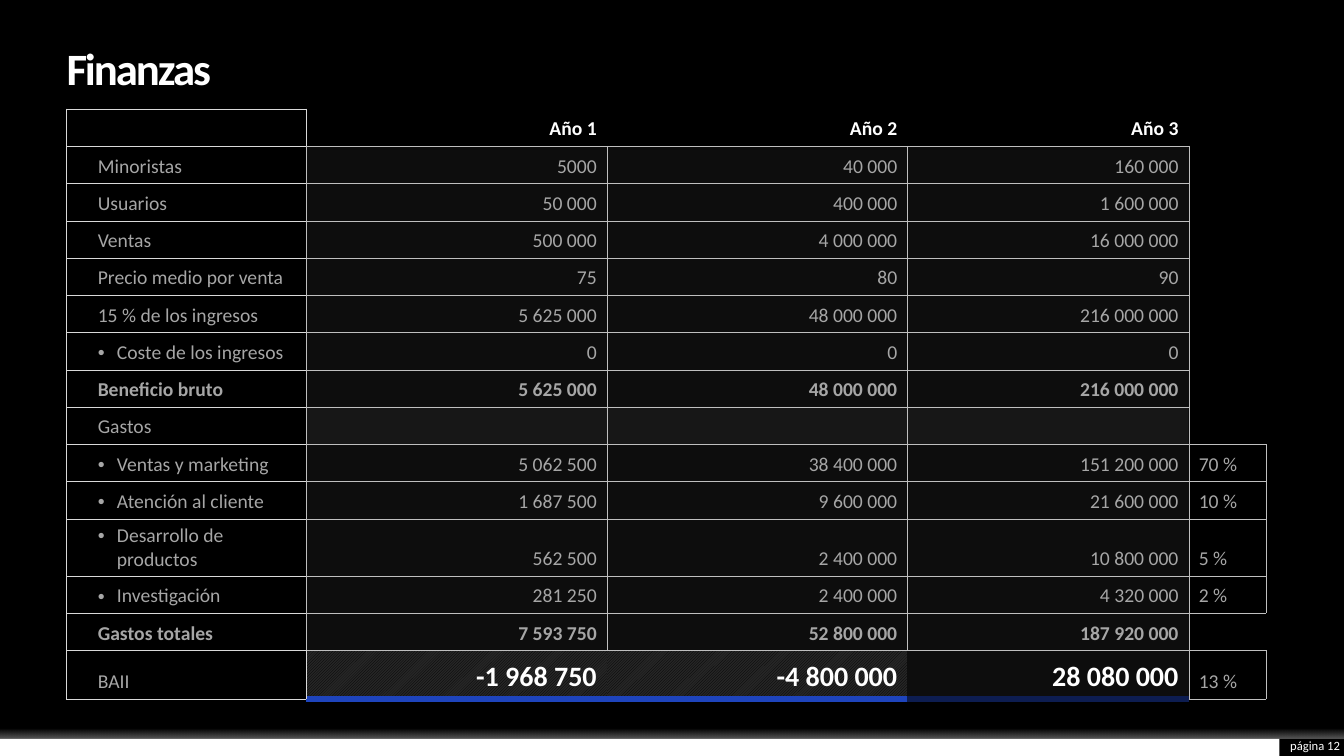
from lxml.etree import SubElement, fromstring
from pptx import Presentation
from pptx.dml.color import RGBColor
from pptx.enum.dml import MSO_PATTERN
from pptx.enum.shapes import MSO_SHAPE
from pptx.enum.text import MSO_ANCHOR, PP_ALIGN
from pptx.oxml.ns import nsdecls, qn
from pptx.util import Inches, Pt

BLACK, WHITE, PANEL, GREY = "000000", "FFFFFF", "0D0D0D", "A6A6A6"
LINE, LABEL_LINE = "BFBFBF", "D9D9D9"


def color(value):
    return RGBColor.from_string(value)


def add_text(frame, text, size, text_color, bold=False, align=PP_ALIGN.LEFT):
    paragraph = frame.paragraphs[0]
    paragraph.alignment = align
    run = paragraph.add_run()
    run.text = text
    run.font.name = "Calibri"
    run.font.size = Pt(size)
    run.font.bold = bold
    run.font.color.rgb = color(text_color)
    return paragraph


presentation = Presentation()
presentation.slide_width, presentation.slide_height = Inches(13.33), Inches(7.5)
slide = presentation.slides.add_slide(presentation.slide_layouts[6])
slide.background.fill.solid()
slide.background.fill.fore_color.rgb = color(BLACK)

# Footer: a white band with a glow above it
band_height = 0.17
band_top = 7.5 - band_height
footer_width = 12.69
for top, width in ((band_top, footer_width), (band_top - band_height, 13.33)):
    band = slide.shapes.add_shape(
        MSO_SHAPE.RECTANGLE, 0, Inches(top), Inches(width), Inches(band_height))
    band.shadow.inherit = False
    band.line.fill.background()
    band.fill.solid()
    band.fill.fore_color.rgb = color(WHITE)
glow = band._element.spPr
glow.replace(glow.find(qn("a:solidFill")), fromstring(
    f'<a:gradFill {nsdecls("a")} rotWithShape="1"><a:gsLst>'
    '<a:gs pos="40000"><a:srgbClr val="FFFFFF"><a:alpha val="0"/></a:srgbClr></a:gs>'
    '<a:gs pos="100000"><a:srgbClr val="FFFFFF"><a:alpha val="35000"/></a:srgbClr></a:gs>'
    '</a:gsLst><a:lin ang="5400000" scaled="0"/></a:gradFill>'))

# Page number and title
margin = 0.66
for left, top, width, height, text, size, bold, align in (
        (footer_width, 7.31, 0.6, 0.17, "página 12", 9, False, PP_ALIGN.RIGHT),
        (margin, 0.47, 10.91, 0.47, "Finanzas", 32, True, PP_ALIGN.LEFT)):
    box = slide.shapes.add_textbox(*map(Inches, (left, top, width, height)))
    frame = box.text_frame
    frame.word_wrap = True
    frame.vertical_anchor = MSO_ANCHOR.MIDDLE
    frame.margin_left = frame.margin_right = frame.margin_top = frame.margin_bottom = 0
    heading = add_text(frame, text, size, WHITE, bold, align)
heading.line_spacing = 0.9
heading.runs[0].font._element.set("spc", "-150")

# Financial figures
rows = [
    ("", "Año 1", "Año 2", "Año 3", ""),
    ("Minoristas", "5000", "40 000", "160 000", ""),
    ("Usuarios", "50 000", "400 000", "1 600 000", ""),
    ("Ventas", "500 000", "4 000 000", "16 000 000", ""),
    ("Precio medio por venta", "75", "80", "90", ""),
    ("15 % de los ingresos", "5 625 000", "48 000 000", "216 000 000", ""),
    ("Coste de los ingresos", "0", "0", "0", ""),
    ("Beneficio bruto", "5 625 000", "48 000 000", "216 000 000", ""),
    ("Gastos", "", "", "", ""),
    ("Ventas y marketing", "5 062 500", "38 400 000", "151 200 000", "70 %"),
    ("Atención al cliente", "1 687 500", "9 600 000", "21 600 000", "10 %"),
    ("Desarrollo de productos", "562 500", "2 400 000", "10 800 000", "5 %"),
    ("Investigación", "281 250", "2 400 000", "4 320 000", "2 %"),
    ("Gastos totales", "7 593 750", "52 800 000", "187 920 000", ""),
    ("BAII", "-1 968 750", "-4 800 000", "28 080 000", "13 %"),
]
bulleted = {"Coste de los ingresos", "Ventas y marketing", "Atención al cliente",
            "Desarrollo de productos", "Investigación"}
totals = {"Beneficio bruto", "Gastos totales"}
column_widths = [2.38, 2.98, 2.98, 2.79, 0.77]
row_heights = [0.37] * 11 + [0.43, 0.37, 0.37, 0.48]
last_row, last_column = len(rows) - 1, len(column_widths) - 1

table = slide.shapes.add_table(
    len(rows), len(column_widths), Inches(margin), Inches(1.08),
    Inches(sum(column_widths)), Inches(sum(row_heights))).table
table.first_row = table.horz_banding = False
for column, width in zip(table.columns, column_widths):
    column.width = Inches(width)
for row, height in zip(table.rows, row_heights):
    row.height = Inches(height)

for r, values in enumerate(rows):
    label = values[0]
    for c, text in enumerate(values):
        cell = table.cell(r, c)
        is_year = 0 < c < last_column
        is_result = r == last_row and is_year
        cell.vertical_anchor = MSO_ANCHOR.BOTTOM

        # Text
        if text:
            paragraph = add_text(
                cell.text_frame, text, 20 if is_result else 14,
                WHITE if r == 0 or is_result else GREY,
                r == 0 or is_result or label in totals,
                PP_ALIGN.RIGHT if is_year else PP_ALIGN.LEFT)
        else:
            cell.margin_top = cell.margin_bottom = 0
        if c == 0:
            cell.margin_left = Inches(0.31)
            if label in bulleted:
                properties = paragraph._p.get_or_add_pPr()
                properties.set("marL", str(Inches(0.19)))
                properties.set("indent", str(-Inches(0.19)))
                SubElement(properties, qn("a:buFont"), typeface="Arial")
                SubElement(properties, qn("a:buChar"), char="•")

        # Fill
        if c == last_column:
            cell.fill.background()
        elif is_result and c < 3:
            cell.fill.patterned()
            cell.fill.pattern = MSO_PATTERN.DARK_UPWARD_DIAGONAL
            cell.fill.fore_color.rgb = color(BLACK)
            cell.fill.back_color.rgb = color("262626")
        else:
            cell.fill.solid()
            cell.fill.fore_color.rgb = color(BLACK if r == 0 or c == 0 else PANEL)
            if label == "Gastos" and is_year:
                cell.fill.fore_color.rgb = color("404040")
                tint = cell._tc.tcPr.find(qn("a:solidFill"))[0]
                SubElement(tint, qn("a:alpha"), val="36000")

        # Borders
        edges = dict.fromkeys("LRTB", LINE)
        if c == 0:
            edges = dict.fromkeys("LRTB", LABEL_LINE)
            if 0 < r < last_row:
                edges["R"] = LINE
        elif c == last_column and not text:
            edges = {"L": LINE if r else BLACK}
            if label in ("Gastos", "Gastos totales"):
                edges["B"] = LINE
            if label == "Gastos totales":
                edges["T"] = LINE
        elif r == 0:
            edges = {"L": LABEL_LINE if c == 1 else BLACK, "R": BLACK, "T": BLACK, "B": LINE}
        elif is_result:
            edges = {"T": LINE, "B": "0D1D51" if c == 3 else "1E44BC"}
            if c == 1:
                edges["L"] = LABEL_LINE
            if c == 3:
                edges["R"] = LINE
        for position, side in enumerate("LRTB"):
            points = 4.5 if is_result and side == "B" else 0.25
            paint = (f'<a:solidFill><a:srgbClr val="{edges[side]}"/></a:solidFill>'
                     if side in edges else "<a:noFill/>")
            cell._tc.tcPr.insert(position, fromstring(
                f'<a:ln{side} {nsdecls("a")} w="{Pt(points)}">{paint}</a:ln{side}>'))

presentation.save("out.pptx")
